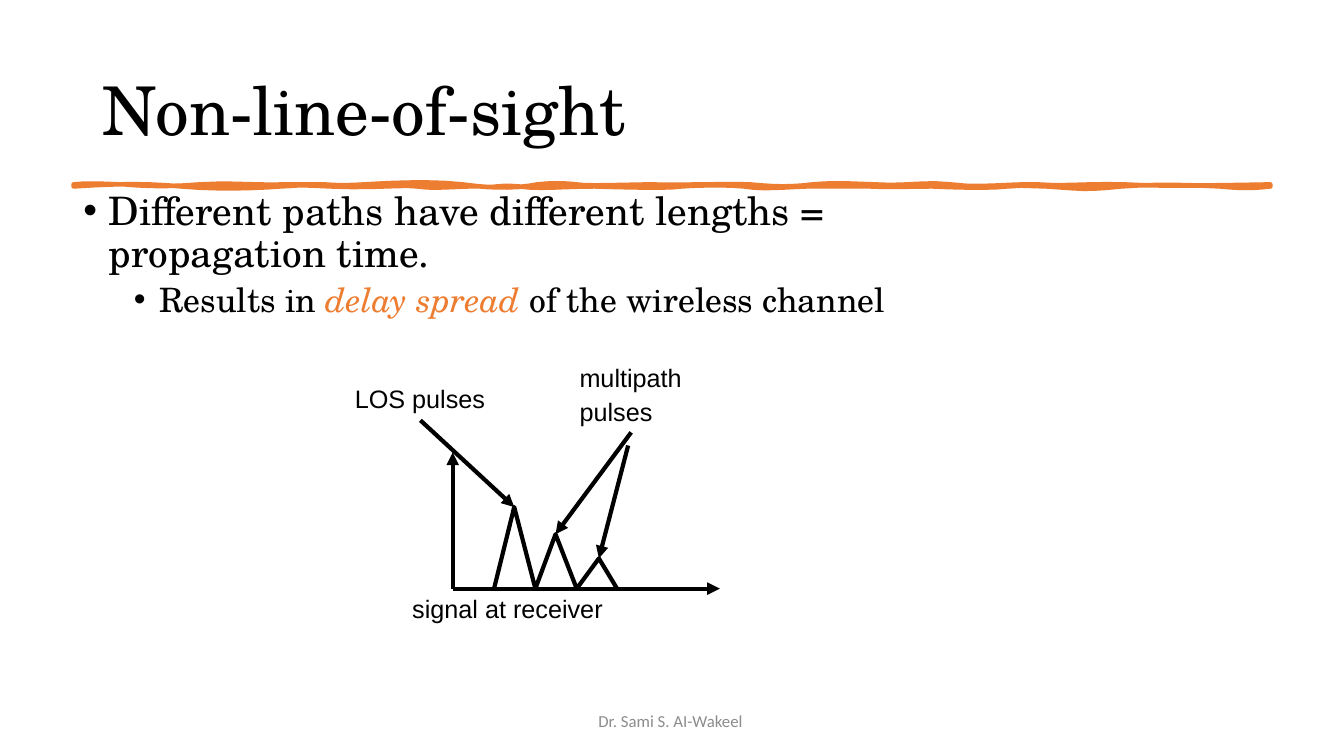
from dataclasses import dataclass

from lxml import etree
from pptx import Presentation, util as u
from pptx.dml.color import RGBColor
from pptx.enum import shapes, text
from pptx.oxml.ns import qn


@dataclass(frozen=True)
class Theme:
    ink: str = "000000"
    accent: str = "ED7D31"
    muted: str = "8C8C8C"
    serif: str = "TeX Gyre Schola"
    sans: str = "Arial"
    foot: str = "Calibri"
    title: int = 48
    body: int = 28
    sub: int = 24
    label: int = 18
    small: int = 12
    stroke: float = 3
    rule: float = 3.25


def px(n):
    return round(n * 9144)  # 100 px to the inch


def rgb(code):
    return RGBColor.from_string(code)


def curve(knots, steps=6):
    """Sample a chain of cubic curves: a start, then three points per piece."""
    dots = [knots[0]]
    for i in range(0, len(knots) - 1, 3):
        a, b, c, d = knots[i:i + 4]
        for k in range(1, steps + 1):
            t = k / steps
            s = 1 - t
            dots.append(tuple(s**3 * p + 3 * s * s * t * q + 3 * s * t * t * r + t**3 * v
                              for p, q, r, v in zip(a, b, c, d)))
    return dots


class Deck:
    def __init__(self, look):
        self.look = look
        self.prs = Presentation()
        self.prs.slide_width, self.prs.slide_height = px(1333), px(750)
        self.slide = self.prs.slides.add_slide(self.prs.slide_layouts[6])

    def box(self, x, y, w, h, wrap=True, mid=False):
        frame = self.slide.shapes.add_textbox(px(x), px(y), px(w), px(h)).text_frame
        frame.word_wrap = wrap
        frame.vertical_anchor = text.MSO_ANCHOR.MIDDLE if mid else text.MSO_ANCHOR.TOP
        return frame

    def para(self, frame, words, size, face, color=None, gap=0, lead=0.9, inset=None):
        """Fill the empty first paragraph, or add one; inset makes it a bullet."""
        first = frame.paragraphs[0]
        p = frame.add_paragraph() if first.text else first
        if inset is not None:
            props = p._p.get_or_add_pPr()
            props.set("marL", str(px(inset)))
            props.set("indent", str(px(-25)))
            etree.SubElement(props, qn("a:buFont"), typeface="Arial")
            etree.SubElement(props, qn("a:buChar"), char="•")
        p.text = words
        p.line_spacing = lead
        if gap:
            p.space_before = u.Pt(gap)
        p.font.size, p.font.name = u.Pt(size), face
        p.font.color.rgb = rgb(color or self.look.ink)
        return p

    def label(self, x, y, w, h, *lines):
        frame = self.box(x, y, w, h, wrap=False)
        for i, line in enumerate(lines):
            self.para(frame, line, self.look.label, self.look.sans, gap=5 if i else 0)

    def arrow(self, x1, y1, x2, y2):
        line = self.slide.shapes.add_connector(
            shapes.MSO_CONNECTOR.STRAIGHT, px(x1), px(y1), px(x2), px(y2))
        line.line.color.rgb = rgb(self.look.ink)
        line.line.width = u.Pt(self.look.stroke)
        etree.SubElement(line.line._get_or_add_ln(), qn("a:tailEnd"), type="triangle")
        etree.SubElement(line._element.spPr, qn("a:effectLst"))

    def trace(self, dots, color, width, fill=False):
        dots = [(px(x), px(y)) for x, y in dots]
        pen = self.slide.shapes.build_freeform(*dots[0], scale=1.0)
        pen.add_line_segments(dots[1:], close=fill)
        shape = pen.convert_to_shape()
        shape.shadow.inherit = False
        if fill:
            shape.fill.solid()
            shape.fill.fore_color.rgb = rgb(color)
        else:
            shape.fill.background()
        shape.line.color.rgb = rgb(color)
        shape.line.width = u.Pt(width)


# Upper and lower edges of the brushed rule
TOP = [
    (73, 183), (89, 181), (111, 183), (124, 183), (136, 184), (162, 186), (198, 183),
    (234, 181), (251, 184), (284, 183), (317, 183), (307, 183), (322, 183),
    (338, 184), (342, 184), (361, 183), (380, 182), (424, 179), (459, 183),
    (494, 188), (517, 186), (533, 183), (549, 181), (563, 182), (572, 183),
    (581, 185), (625, 183), (646, 183), (667, 184), (723, 182), (744, 183),
    (765, 185), (782, 186), (806, 183), (830, 181), (838, 182), (868, 183),
    (899, 185), (914, 180), (943, 183), (972, 187), (1002, 182), (1029, 183),
    (1055, 185), (1078, 182), (1115, 183), (1151, 185), (1199, 184), (1260, 183),
]
LOW = [
    (1260, 185), (1242, 187), (1230, 187), (1210, 185), (1190, 184), (1149, 182), (1112, 185),
    (1075, 189), (1070, 187), (1038, 185), (1005, 184), (1018, 184), (999, 185),
    (980, 187), (948, 186), (925, 185), (902, 185), (884, 186), (863, 185),
    (841, 185), (828, 185), (800, 185), (773, 186), (757, 188), (738, 185),
    (719, 183), (688, 184), (676, 185), (663, 187), (624, 186), (590, 185),
    (555, 185), (537, 188), (515, 185), (494, 183), (491, 187), (477, 185),
    (463, 184), (430, 188), (414, 185), (399, 183), (371, 187), (328, 185),
    (286, 183), (303, 184), (278, 185), (253, 187), (213, 188), (180, 185),
    (147, 182), (118, 182), (73, 185),
]


def main():
    look = Theme()
    deck = Deck(look)

    # Title and rule
    head = deck.box(92, 40, 1150, 145, mid=True)
    deck.para(head, "Non-line-of-sight", look.title, look.serif)
    deck.trace(curve(TOP) + curve(LOW), look.accent, look.rule, fill=True)

    # Bullets
    body = deck.box(73, 185, 1150, 465)
    deck.para(body, "Different paths have different lengths = \vpropagation time.",
              look.body, look.serif, inset=25)
    sub = deck.para(body, "Results in ", look.sub, look.serif, gap=5, inset=75)
    term = sub.add_run()
    term.text = "delay spread "
    term.font.italic = True
    term.font.color.rgb = rgb(look.accent)
    sub.add_run().text = "of the wireless channel"

    # Axes and pulses
    left, base = 449, 584
    peaks = [(510, 503), (551, 530), (594, 554)]
    feet = [490, 531, 572, 612]
    deck.label(399, 587, 211, 37, "signal at receiver")
    deck.arrow(left, base, left, 449)
    deck.arrow(left, base, 714, base)
    pulses = [(feet[0], base)]
    for peak, foot in zip(peaks, feet[1:]):
        pulses += [peak, (foot, base)]
    deck.trace(pulses, look.ink, look.stroke)

    # Callouts
    deck.label(342, 379, 151, 37, "LOS pulses")
    deck.label(565, 358, 123, 71, "multipath", "pulses")
    for start, peak in zip([(417, 417), (626, 429), (623, 442)], peaks):
        deck.arrow(*start, *peak)

    # Footer
    foot = deck.box(442, 695, 450, 40, mid=True)
    name = deck.para(foot, "Dr. Sami S. AI-Wakeel ", look.small, look.foot,
                     look.muted, lead=1.0)
    name.alignment = text.PP_ALIGN.CENTER

    deck.prs.save("out.pptx")


if __name__ == "__main__":
    main()
